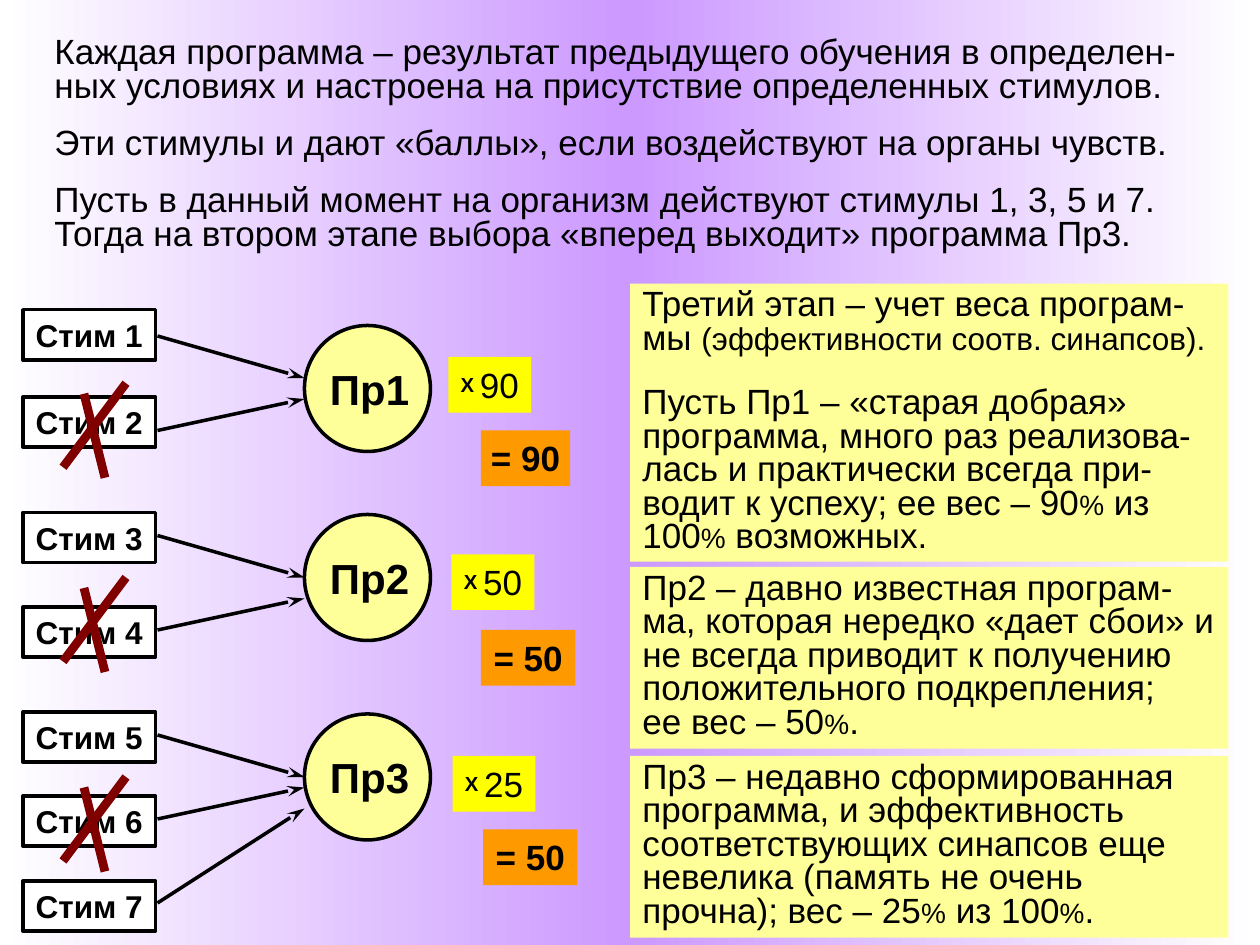
from copy import deepcopy
from dataclasses import dataclass

from pptx import Presentation
from pptx.dml.color import RGBColor
from pptx.enum.shapes import MSO_CONNECTOR, MSO_SHAPE
from pptx.enum.text import MSO_ANCHOR, MSO_AUTO_SIZE, PP_ALIGN
from pptx.oxml.ns import qn
from pptx.util import Inches, Pt

RECTANGLE, OVAL = MSO_SHAPE.RECTANGLE, MSO_SHAPE.OVAL
STRAIGHT = MSO_CONNECTOR.STRAIGHT
TOP, GROW, FIXED = MSO_ANCHOR.TOP, MSO_AUTO_SIZE.SHAPE_TO_FIT_TEXT, MSO_AUTO_SIZE.NONE
LEFT, CENTER = PP_ALIGN.LEFT, PP_ALIGN.CENTER

BLACK = RGBColor(0x00, 0x00, 0x00)
WHITE = RGBColor(0xFF, 0xFF, 0xFF)
LILAC = RGBColor(0xCC, 0x99, 0xFF)
CREAM = RGBColor(0xFF, 0xFF, 0x99)
YELLOW = RGBColor(0xFF, 0xFF, 0x00)
ORANGE = RGBColor(0xFF, 0x99, 0x00)
MAROON = RGBColor(0x80, 0x00, 0x00)

FONT = "Arial"
COLUMNS, ROWS = 120, 90  # grid of twelve cells to the inch
CELL = Inches(1) // 12


@dataclass
class Span:
    text: str
    size: int = 20
    bold: bool = False
    raised: int = 0  # percent above the baseline


@dataclass
class Area:
    column: float
    row: float
    width: float
    height: float

    def lengths(self) -> list[int]:
        return [round(n * CELL) for n in (self.column, self.row, self.width, self.height)]


@dataclass
class Stimulus:
    row: float  # top of the box
    arrow_start: float
    arrow_end: float


@dataclass
class Program:
    row: float
    weight: str
    weight_area: Area
    total: str
    total_area: Area
    note_area: Area
    note: list[list[Span]]


PERCENT = Span("%", 16)

INTRO = [
    [Span("Каждая программа – результат предыдущего обучения в определен-ных условиях "
          "и настроена на присутствие определенных стимулов.")],
    [Span("Эти стимулы и дают «баллы», если воздействуют на органы чувств.")],
    [Span("Пусть в данный момент на организм действуют стимулы 1, 3, 5 и 7. "
          "Тогда на втором этапе выбора «вперед выходит» программа Пр3.")],
]

STIMULI = [
    Stimulus(29.5, 32, 36), Stimulus(37.8, 41, 38),
    Stimulus(48.8, 51, 55), Stimulus(57.8, 60, 57),
    Stimulus(67.8, 70, 74), Stimulus(75.8, 78, 75), Stimulus(83.9, 86, 77),
]
CROSS_ROWS = [36.5, 55, 74]

PROGRAMS = [
    Program(31, "90", Area(42.7, 34, 7.9, 5.3), "= 90", Area(45.8, 41, 8.5, 5.3),
            Area(60, 27, 57, 26.5), [
        [Span("Третий этап – учет веса програм-мы "),
         Span("(эффективности соотв. синапсов).", 18)],
        [Span("Пусть Пр1 – «старая добрая» программа, много раз реализова-лась и "
              "практически всегда при-водит к успеху; ее вес – 90"), PERCENT,
         Span(" из 100"), PERCENT, Span(" возможных.")],
    ]),
    Program(49, "50", Area(43, 52.8, 7.9, 5.3), "= 50", Area(45.8, 60, 9, 5.3),
            Area(60, 54, 57, 17.3), [
        [Span("Пр2 – давно известная програм-ма, которая нередко «дает сбои» и не "
              "всегда приводит к получению положительного подкрепления;")],
        [Span("ее вес – 50"), PERCENT, Span(".")],
    ]),
    Program(68, "25", Area(43.1, 72, 7.9, 5.3), "= 50", Area(46, 79, 9, 5.3),
            Area(60, 72, 57, 17.3), [
        [Span("Пр3 – недавно сформированная программа, и эффективность соответствующих "
              "синапсов еще невелика (память не очень прочна); вес – 25"), PERCENT,
         Span(" из 100"), PERCENT, Span(".")],
    ]),
]


def write(box, paragraphs: list[list[Span]], *, wrap: bool = False, align=CENTER,
          spacing: float = 1.0, gap: float = 0, fit=GROW, inset: float = 0.1) -> None:
    frame = box.text_frame
    frame.word_wrap, frame.auto_size, frame.vertical_anchor = wrap, fit, TOP
    frame.margin_left = frame.margin_right = Inches(inset)
    for index, spans in enumerate(paragraphs):
        para = frame.add_paragraph() if index else frame.paragraphs[0]
        para.alignment, para.line_spacing = align, spacing
        if index and gap:
            para.space_before = Pt(gap)
        for span in spans:
            run = para.add_run()
            run.text = span.text
            run.font.name, run.font.size, run.font.bold = FONT, Pt(span.size), span.bold
            run.font.color.rgb = BLACK
            if span.raised:
                run.font._element.set("baseline", str(span.raised * 1000))


def add_block(page, area: Area, fill: RGBColor, *, kind=RECTANGLE, outlined: bool = False):
    block = page.shapes.add_shape(kind, *area.lengths())
    block.shadow.inherit = False
    block.fill.solid()
    block.fill.fore_color.rgb = fill
    if outlined:
        block.line.color.rgb, block.line.width = BLACK, Pt(2)
    else:
        block.line.fill.background()
    return block


def add_tag(page, area: Area, fill: RGBColor, spans: list[Span]) -> None:
    """A small one-line label with narrow margins, so that it never wraps."""
    write(add_block(page, area, fill), [spans], fit=FIXED, inset=0.02)


def add_line(page, start: tuple[float, float], end: tuple[float, float], *,
             color: RGBColor = BLACK, width: float = 2, arrow: bool = False) -> None:
    line = page.shapes.add_connector(STRAIGHT, *[round(n * CELL) for n in start + end])
    line.line.color.rgb, line.line.width = color, Pt(width)
    properties = line._element.spPr
    if arrow:
        outline = properties.find(qn("a:ln"))
        head = {"type": "stealth", "w": "med", "len": "lg"}
        outline.append(outline.makeelement(qn("a:tailEnd"), head))
    properties.append(properties.makeelement(qn("a:effectLst"), {}))


def paint_background(page) -> None:
    fill = page.background.fill
    fill.gradient()
    fill.gradient_angle = 0
    first = next(page._element.iter(qn("a:gs")))
    first.addnext(deepcopy(first))
    for stop, position, color in zip(fill.gradient_stops, (0, 0.5, 1), (WHITE, LILAC, WHITE)):
        stop.position, stop.color.rgb = position, color


def main() -> None:
    deck = Presentation()
    deck.slide_width, deck.slide_height = COLUMNS * CELL, ROWS * CELL
    page = deck.slides.add_slide(deck.slide_layouts[6])
    paint_background(page)

    # Introduction
    intro = page.shapes.add_textbox(*Area(4, 3, 112, 21.7).lengths())
    write(intro, INTRO, wrap=True, align=LEFT, spacing=0.8, gap=13.5)

    # Program circles
    for number, program in enumerate(PROGRAMS, 1):
        add_block(page, Area(29, program.row, 12, 12), CREAM, kind=OVAL, outlined=True)
        label = page.shapes.add_textbox(*Area(30.2, program.row + 3, 10, 6).lengths())
        write(label, [[Span(f"Пр{number}", 24, True)]])

    # Stimuli and their arrows
    for number, stimulus in enumerate(STIMULI, 1):
        box = add_block(page, Area(2.2, stimulus.row, 12.6, 4.8), WHITE, outlined=True)
        write(box, [[Span(f"Стим {number}", 18, True)]])
        add_line(page, (15, stimulus.arrow_start), (29, stimulus.arrow_end), arrow=True)

    # Crosses over the absent stimuli
    for row in CROSS_ROWS:
        add_line(page, (6, row + 8), (12, row), color=MAROON, width=5)
        add_line(page, (10, row + 9), (8, row + 1), color=MAROON, width=5)

    # Notes, weights and totals
    for program in PROGRAMS:
        note = add_block(page, program.note_area, CREAM)
        gap = 17.5 if program is PROGRAMS[0] else 0
        write(note, program.note, wrap=True, align=LEFT, spacing=0.8, gap=gap)
        add_tag(page, program.weight_area, YELLOW,
                [Span("Х ", bold=True, raised=16), Span(program.weight)])
        add_tag(page, program.total_area, ORANGE, [Span(program.total, bold=True)])

    deck.save("out.pptx")


if __name__ == "__main__":
    main()
